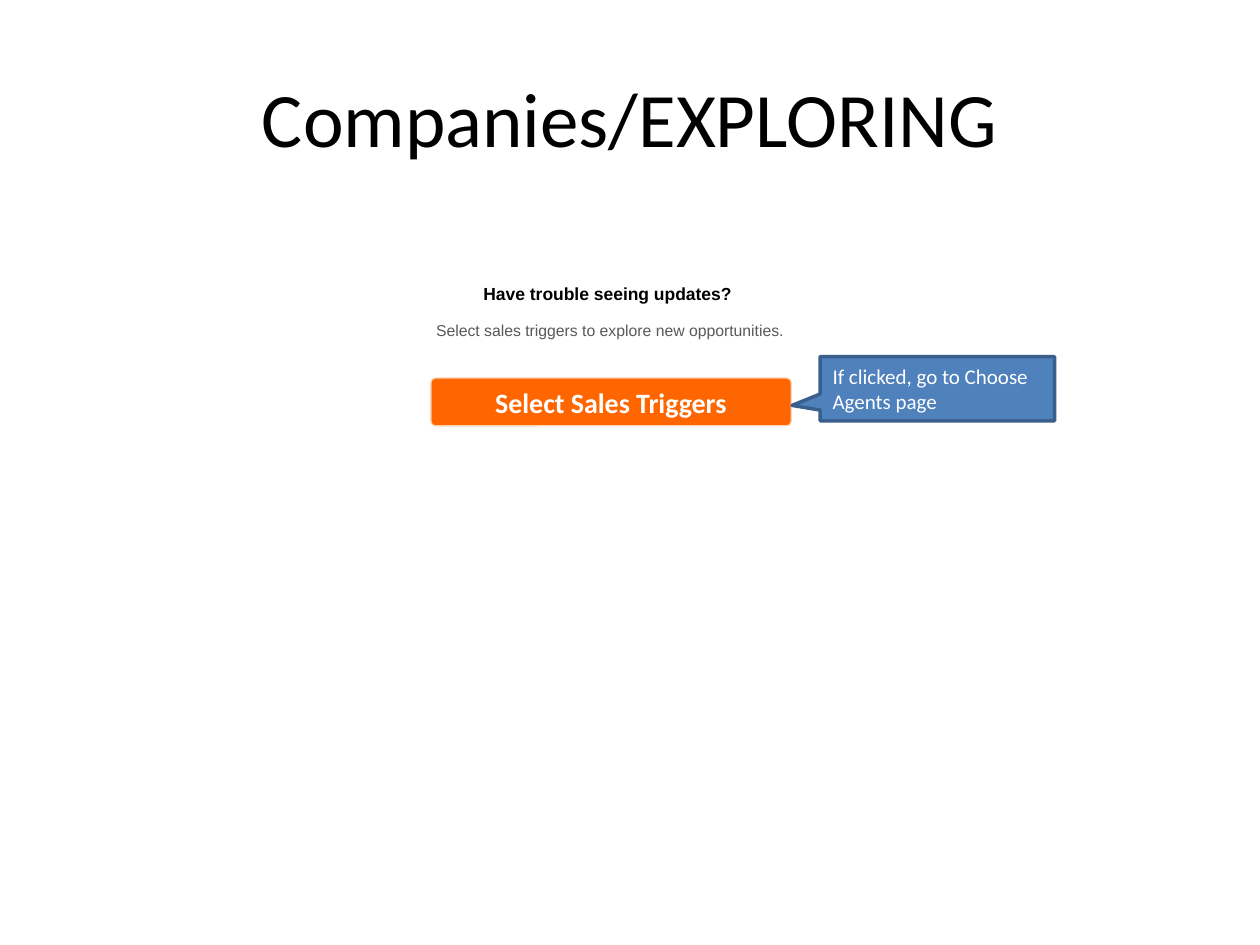
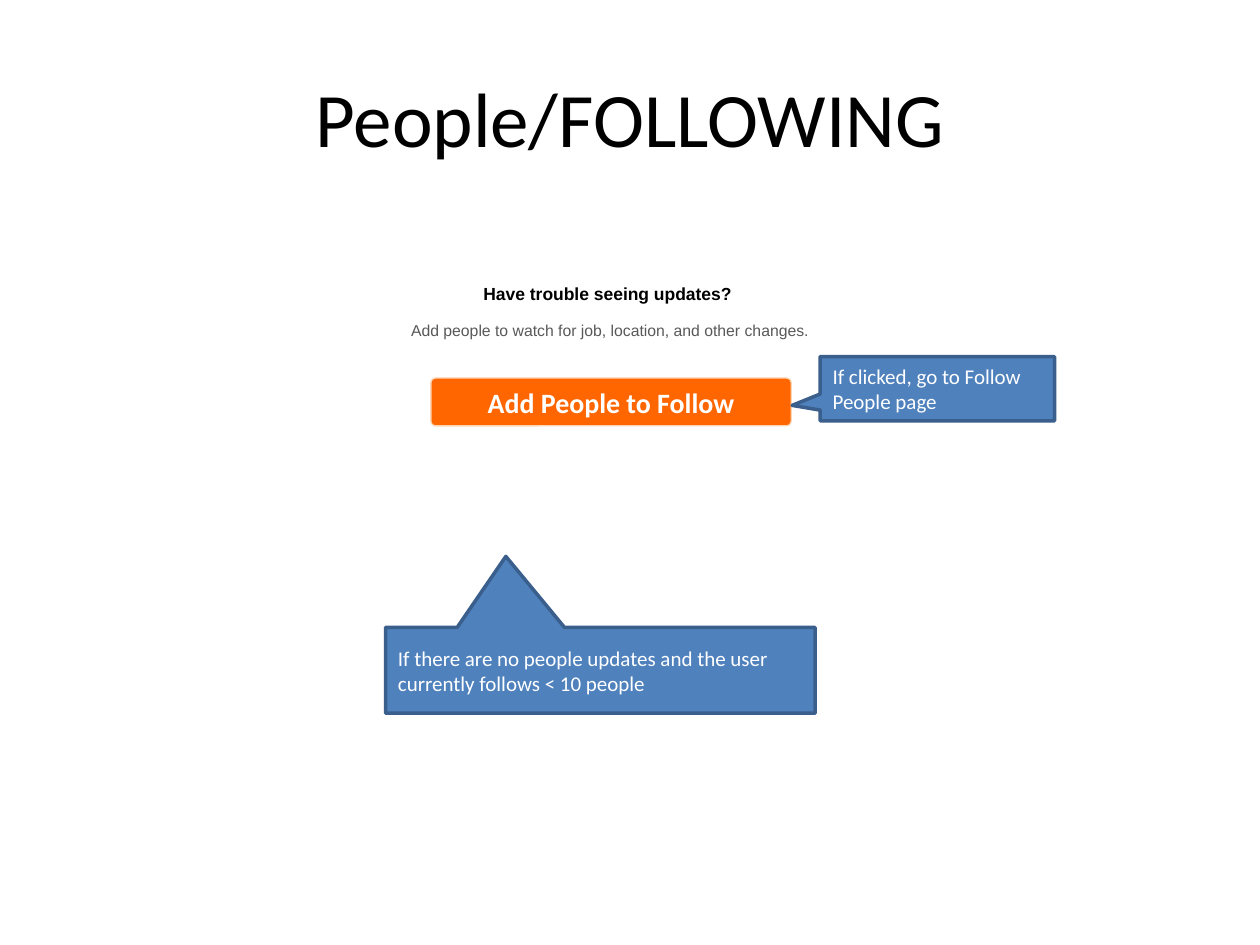
from collections import namedtuple

from pptx import Presentation
from pptx.dml.color import RGBColor
from pptx.enum import shapes, text
from pptx.util import Inches, Pt

# Slide grid: one column and one row are each a tenth of an inch
SLIDE_WIDTH, SLIDE_HEIGHT = Inches(10), Inches(7.5)
COLUMN, ROW = SLIDE_WIDTH / 100, SLIDE_HEIGHT / 75

BLACK = RGBColor(0x00, 0x00, 0x00)
WHITE = RGBColor(0xFF, 0xFF, 0xFF)
GREY = RGBColor(0x59, 0x59, 0x59)
ORANGE = RGBColor(0xFF, 0x66, 0x00)
PEACH = RGBColor(0xFC, 0xD5, 0xB5)
BLUE = RGBColor(0x4F, 0x81, 0xBD)
DARK_BLUE = RGBColor(0x3A, 0x5F, 0x8C)

# Text formats
TITLE = {"name": "Calibri", "size": Pt(44), "color": BLACK}
QUESTION = {"name": "Arial", "size": Pt(10), "bold": True, "color": BLACK}
HINT = {"name": "Arial", "size": Pt(9), "color": GREY}
BUTTON = {"name": "Calibri", "size": Pt(16), "bold": True, "color": WHITE}
NOTE = {"name": "Calibri", "size": Pt(12), "color": WHITE}

CENTER, LEFT = text.PP_ALIGN.CENTER, text.PP_ALIGN.LEFT
MIDDLE, TOP = text.MSO_ANCHOR.MIDDLE, text.MSO_ANCHOR.TOP


class Box(namedtuple("Box", "left top width height")):
    """An area in grid columns and rows."""

    def inner(self, left, top, width, height):
        return Box(self.left + left, self.top + top, width, height)

    def lengths(self):
        units = (COLUMN, ROW, COLUMN, ROW)
        return [round(value * unit) for value, unit in zip(self, units)]


TITLE_BOX = Box(5, 3, 90, 12.5)
PROMPT_BOX = Box(12.2, 22, 72.4, 11.4)
CONDITION_BOX = Box(30.6, 49.8, 34.1, 6.8)


def write(shape, lines, alignment=CENTER, anchor=MIDDLE, gap=0):
    """Write (words, format) lines, with a gap in points between them."""
    frame = shape.text_frame
    frame.word_wrap = True
    frame.vertical_anchor = anchor
    for index, (words, style) in enumerate(lines):
        paragraph = frame.add_paragraph() if index else frame.paragraphs[0]
        paragraph.alignment = alignment
        paragraph.space_before = Pt(gap if index else 0)
        run = paragraph.add_run()
        run.text = words
        for attribute, value in style.items():
            if attribute == "color":
                run.font.color.rgb = value
            else:
                setattr(run.font, attribute, value)


def add_text(slide, box, lines, **layout):
    write(slide.shapes.add_textbox(*box.lengths()), lines, **layout)


def add_panel(slide, kind, box, adjustments, fill, line, line_width):
    shape = slide.shapes.add_shape(kind, *box.lengths())
    shape.shadow.inherit = False
    for index, value in enumerate(adjustments):
        shape.adjustments[index] = value
    shape.fill.solid()
    shape.fill.fore_color.rgb = fill
    shape.line.color.rgb = line
    shape.line.width = Pt(line_width)
    return shape


def add_callout(slide, box, words, pointer):
    """Add a note whose pointer tip is given in shares of its box."""
    callout = add_panel(slide, shapes.MSO_SHAPE.RECTANGULAR_CALLOUT, box,
                        pointer, BLUE, DARK_BLUE, 2)
    write(callout, [(words, NOTE)], alignment=LEFT)


def add_prompt(slide, box, hint, action, click_note):
    # Question and hint
    add_text(slide, box.inner(0, 0, box.width, 5.6),
             [("Have trouble seeing updates? ", QUESTION), (hint, HINT)],
             anchor=TOP, gap=9.5)
    # Button
    button = add_panel(slide, shapes.MSO_SHAPE.ROUNDED_RECTANGLE,
                       box.inner(22, 8, 28.6, 3.8), [0.1], ORANGE, PEACH, 0.75)
    write(button, [(action, BUTTON)])
    # Note on what the button does
    add_callout(slide, box.inner(52.9, 6.3, 18.6, 5.1), click_note, (-0.62, 0.26))


def add_page(presentation, title, hint, action, click_note, condition=None):
    slide = presentation.slides.add_slide(presentation.slide_layouts[6])
    add_text(slide, TITLE_BOX, [(title, TITLE)])
    add_prompt(slide, PROMPT_BOX, hint, action, click_note)
    if condition:
        add_callout(slide, CONDITION_BOX, condition, (-0.22, -1.33))


def main():
    presentation = Presentation()
    presentation.slide_width = SLIDE_WIDTH
    presentation.slide_height = SLIDE_HEIGHT
    add_page(presentation, "Companies/EXPLORING",
             "Select sales triggers to explore new opportunities.",
             "Select Sales Triggers", "If clicked, go to Choose Agents page")
    add_page(presentation, "People/FOLLOWING",
             "Add people to watch for job, location, and other changes.",
             "Add People to Follow", "If clicked, go to Follow People page",
             "If there are no people updates and the user currently follows "
             "< 10 people")
    presentation.save("out.pptx")


if __name__ == "__main__":
    main()
